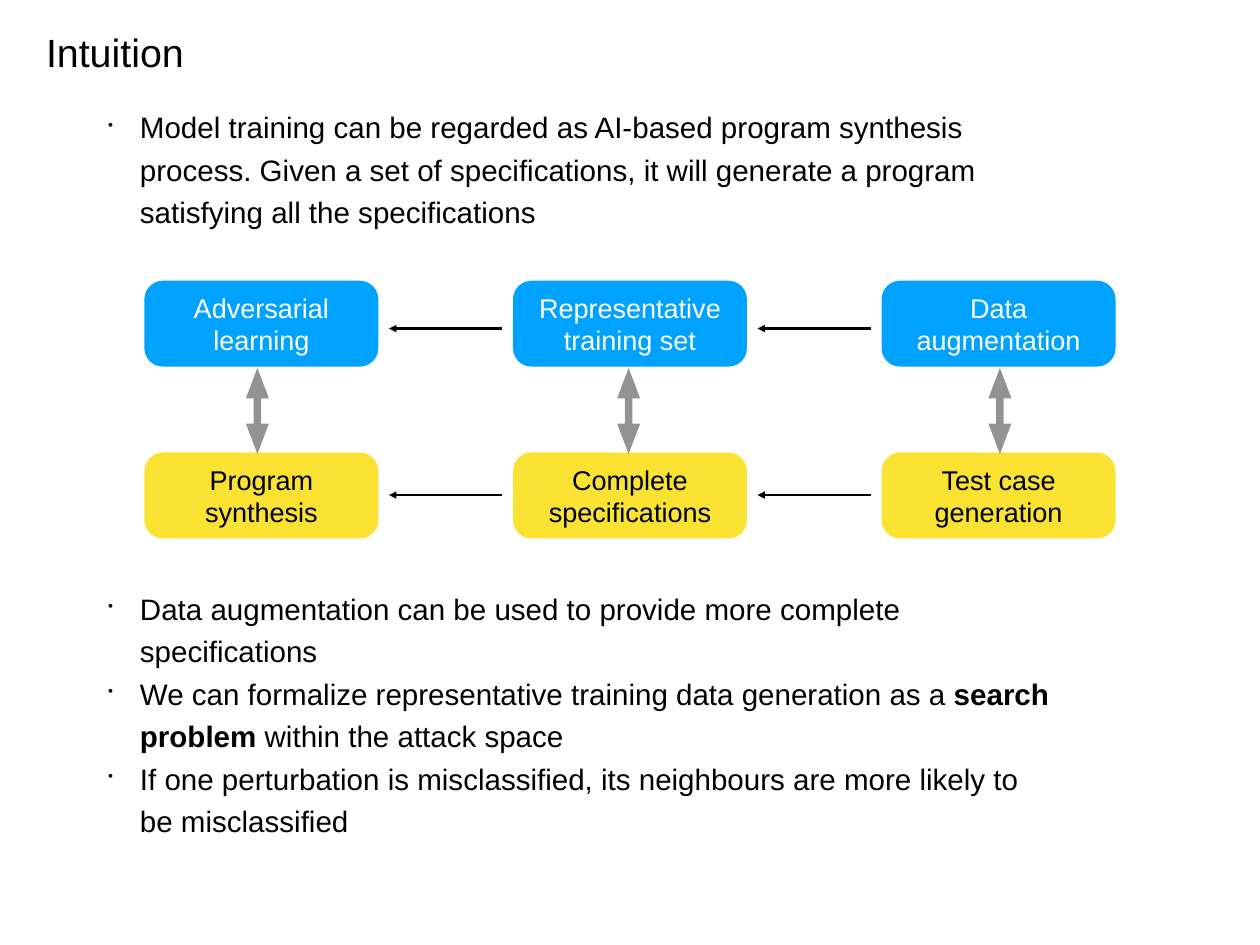
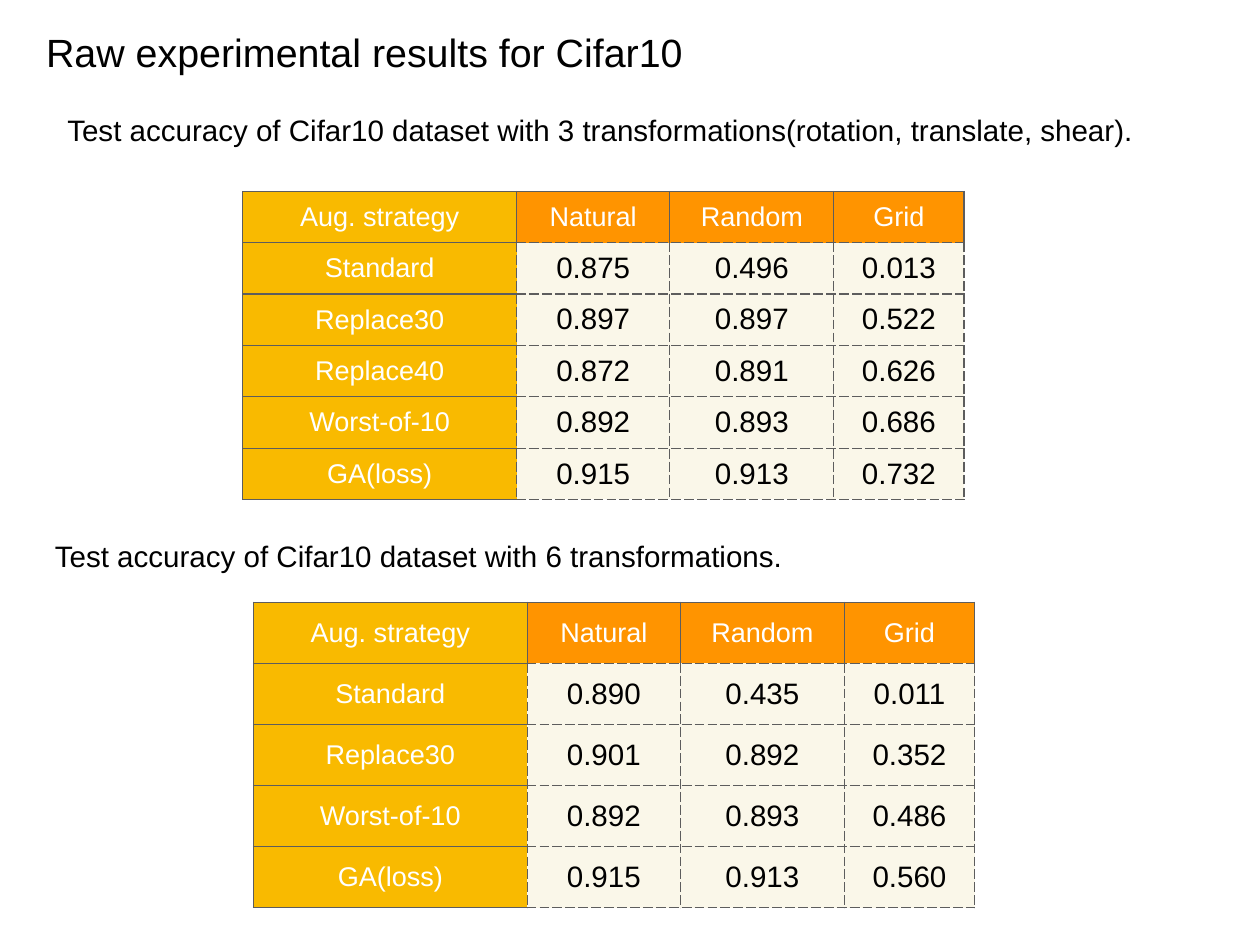
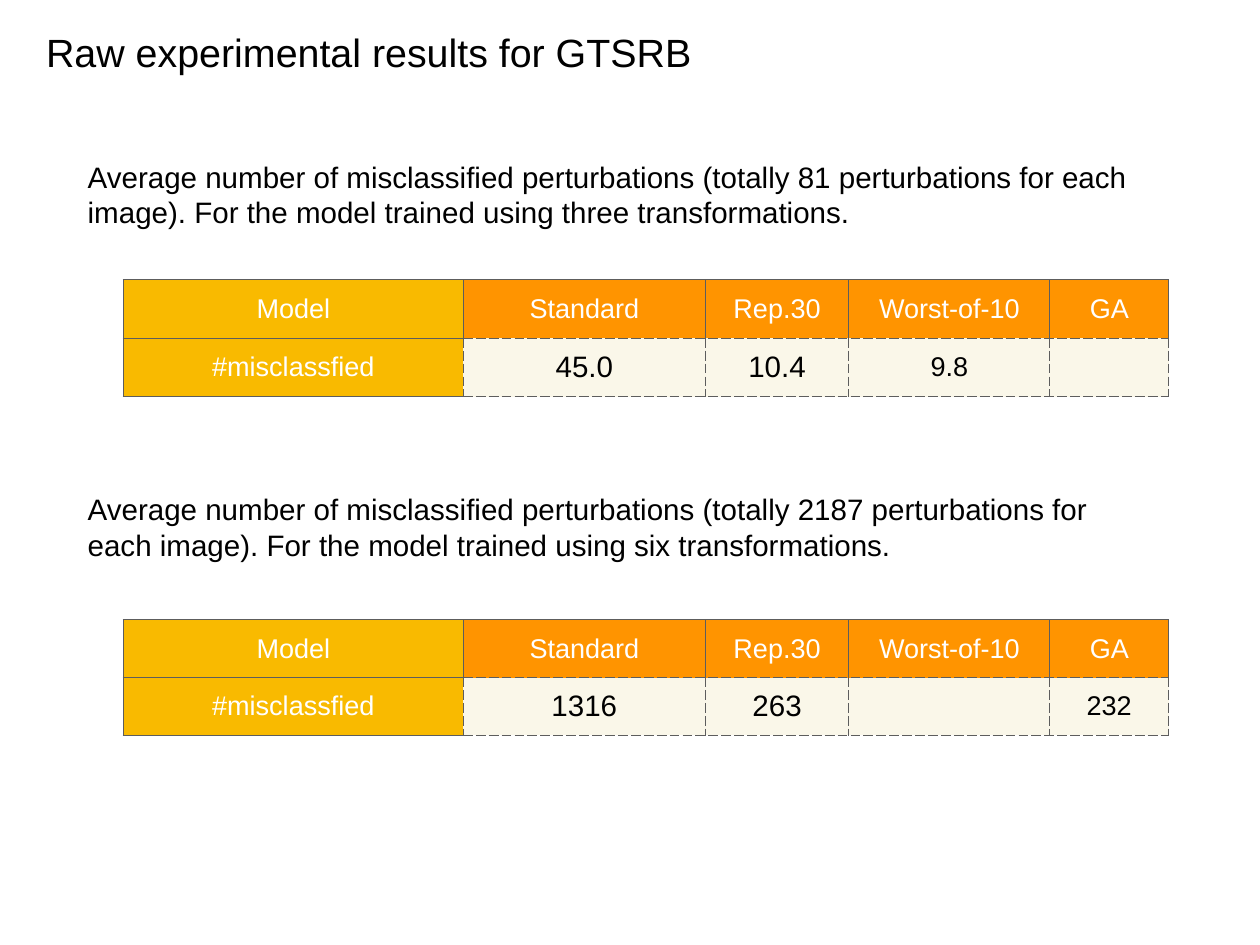
from dataclasses import dataclass

from lxml import etree
from pptx import Presentation
from pptx.dml.color import RGBColor
from pptx.enum.shapes import MSO_CONNECTOR, MSO_SHAPE
from pptx.enum.text import MSO_ANCHOR, PP_ALIGN
from pptx.oxml.ns import qn
from pptx.slide import Slide
from pptx.table import _Cell
from pptx.text.text import TextFrame, _Paragraph
from pptx.util import Inches, Pt

# Shared style
BLACK = RGBColor(0x00, 0x00, 0x00)
WHITE = RGBColor(0xFF, 0xFF, 0xFF)
BLUE = RGBColor(0x00, 0xA2, 0xFF)
YELLOW = RGBColor(0xFA, 0xE2, 0x32)
GRAY = RGBColor(0x92, 0x92, 0x92)
ORANGE = RGBColor(0xFF, 0x94, 0x00)
AMBER = RGBColor(0xF9, 0xBA, 0x00)
CREAM = RGBColor(0xFA, 0xF7, 0xE9)
BORDER = RGBColor(0x5D, 0x5D, 0x5D)

FONT = "Arial"
TITLE_SIZE, BODY_SIZE, LABEL_SIZE = 32, 24, 22
INSET = 0.06

MIDDLE = MSO_ANCHOR.MIDDLE
LEFT, CENTER = PP_ALIGN.LEFT, PP_ALIGN.CENTER
ROUNDED = MSO_SHAPE.ROUNDED_RECTANGLE
DOUBLE_ARROW = MSO_SHAPE.LEFT_RIGHT_ARROW
STRAIGHT = MSO_CONNECTOR.STRAIGHT

# Concept diagram grid
CARD_LEFT, CARD_PITCH = 1.63, 4.16
CARD_WIDTH, CARD_HEIGHT = 2.64, 0.97
ARROW_GAP = 0.12
LINK_LEFT, LINK_TOP, LINK_PITCH = 2.42, 4.51, 4.19
LINK_LENGTH, LINK_THICKNESS = 0.97, 0.26


@dataclass(frozen=True)
class Box:
    left: float
    top: float
    width: float
    height: float


@dataclass(frozen=True)
class Segment:
    text: str
    bold: bool = False


@dataclass(frozen=True)
class CardRow:
    top: float
    arrow_y: float
    fill: RGBColor
    text_color: RGBColor
    labels: tuple[str, ...]


@dataclass(frozen=True)
class ResultTable:
    caption: str
    caption_box: Box
    left: float
    top: float
    row_height: float
    column_widths: tuple[float, ...]
    rows: tuple[tuple[str, ...], ...]
    small_values: tuple[str, ...] = ()


@dataclass(frozen=True)
class ResultSlide:
    title: str
    tables: tuple[ResultTable, ...]


# Slide contents
TITLE_BOX = Box(0.46, 0.19, 12.14, 0.78)

CARD_ROWS = (
    CardRow(3.17, 3.71, BLUE, WHITE,
            ("Adversarial learning", "Representative training set", "Data augmentation")),
    CardRow(5.11, 5.59, YELLOW, BLACK,
            ("Program synthesis", "Complete specifications", "Test case generation")),
)

BULLET_BLOCKS = (
    (Box(1.16, 1.14, 10.75, 1.47), (
        (Segment("Model training can be regarded as AI-based program synthesis process. "
                 "Given a set of specifications, it will generate a program satisfying "
                 "all the specifications"),),
    )),
    (Box(1.16, 6.57, 10.75, 2.92), (
        (Segment("Data augmentation can be used to provide more complete specifications"),),
        (Segment("We can formalize representative training data generation as a "),
         Segment("search problem", bold=True),
         Segment(" within the attack space")),
        (Segment("If one perturbation is misclassified, its neighbours are more likely "
                 "to be misclassified"),),
    )),
)

STRATEGY_COLUMNS = (3.09, 1.73, 1.85, 1.47)
STRATEGY_HEADER = ("Aug. strategy", "Natural", "Random", "Grid")
MODEL_COLUMNS = (3.84, 2.73, 1.62, 2.27, 1.34)
MODEL_HEADER = ("Model", "Standard", "Rep.30", "Worst-of-10", "GA")

RESULT_SLIDES = (
    ResultSlide("Raw experimental results for Cifar10", (
        ResultTable(
            "Test accuracy of Cifar10 dataset with 3 transformations"
            "(rotation, translate, shear).",
            Box(0.7, 1.21, 12.23, 0.5), 2.74, 2.16, 0.58, STRATEGY_COLUMNS,
            (STRATEGY_HEADER,
             ("Standard", "0.875", "0.496", "0.013"),
             ("Replace30", "0.897", "0.897", "0.522"),
             ("Replace40", "0.872", "0.891", "0.626"),
             ("Worst-of-10", "0.892", "0.893", "0.686"),
             ("GA(loss)", "0.915", "0.913", "0.732"))),
        ResultTable(
            "Test accuracy of Cifar10 dataset with 6 transformations.",
            Box(0.56, 6.03, 8.44, 0.5), 2.86, 6.8, 0.69, STRATEGY_COLUMNS,
            (STRATEGY_HEADER,
             ("Standard", "0.890", "0.435", "0.011"),
             ("Replace30", "0.901", "0.892", "0.352"),
             ("Worst-of-10", "0.892", "0.893", "0.486"),
             ("GA(loss)", "0.915", "0.913", "0.560"))),
    )),
    ResultSlide("Raw experimental results for GTSRB", (
        ResultTable(
            "Average number of misclassified perturbations (totally 81 perturbations "
            "for each image). For the model trained using three transformations.",
            Box(0.93, 1.74, 12.14, 0.91), 1.39, 3.16, 0.66, MODEL_COLUMNS,
            (MODEL_HEADER, ("#misclassfied", "45.0", "10.4", "9.8", "")),
            small_values=("9.8",)),
        ResultTable(
            "Average number of misclassified perturbations (totally 2187 perturbations "
            "for each image). For the model trained using six transformations.",
            Box(0.93, 5.49, 12.14, 0.91), 1.39, 7, 0.65, MODEL_COLUMNS,
            (MODEL_HEADER, ("#misclassfied", "1316", "263", "", "232")),
            small_values=("232",)),
    )),
)


# Text helpers
def add_text(paragraph: _Paragraph, text: str, size: float, color: RGBColor = BLACK,
             bold: bool = False) -> None:
    run = paragraph.add_run()
    run.text = text
    run.font.name = FONT
    run.font.size = Pt(size)
    run.font.bold = bold
    run.font.color.rgb = color


def prepare_frame(frame: TextFrame) -> None:
    frame.word_wrap = True
    frame.vertical_anchor = MIDDLE
    frame.margin_left = frame.margin_right = Inches(INSET)
    frame.margin_top = frame.margin_bottom = Inches(INSET)


def add_text_frame(slide: Slide, box: Box) -> TextFrame:
    shape = slide.shapes.add_textbox(
        Inches(box.left), Inches(box.top), Inches(box.width), Inches(box.height))
    prepare_frame(shape.text_frame)
    return shape.text_frame


def add_line_of_text(slide: Slide, box: Box, text: str, size: float) -> None:
    paragraph = add_text_frame(slide, box).paragraphs[0]
    paragraph.alignment = LEFT
    add_text(paragraph, text, size)


def make_bullet(paragraph: _Paragraph) -> None:
    paragraph.line_spacing = 1.2
    properties = paragraph._p.get_or_add_pPr()
    properties.set("marL", str(Inches(0.36)))
    properties.set("indent", str(Inches(-0.36)))
    etree.SubElement(properties, qn("a:buSzPct"), val="50000")
    etree.SubElement(properties, qn("a:buChar"), char="•")


def add_bullets(slide: Slide, box: Box, items: tuple[tuple[Segment, ...], ...]) -> None:
    frame = add_text_frame(slide, box)
    for index, segments in enumerate(items):
        paragraph = frame.paragraphs[0] if index == 0 else frame.add_paragraph()
        make_bullet(paragraph)
        for segment in segments:
            add_text(paragraph, segment.text, BODY_SIZE, bold=segment.bold)


# Diagram helpers
def add_filled_shape(slide: Slide, kind: MSO_SHAPE, box: Box, fill: RGBColor,
                     adjustments: tuple[float, ...]):
    shape = slide.shapes.add_shape(
        kind, Inches(box.left), Inches(box.top), Inches(box.width), Inches(box.height))
    shape.shadow.inherit = False
    shape.fill.solid()
    shape.fill.fore_color.rgb = fill
    shape.line.fill.background()
    for index, value in enumerate(adjustments):
        shape.adjustments[index] = value
    return shape


def add_arrow(slide: Slide, start_x: float, end_x: float, y: float) -> None:
    connector = slide.shapes.add_connector(
        STRAIGHT, Inches(start_x), Inches(y), Inches(end_x), Inches(y))
    connector.line.color.rgb = BLACK
    connector.line.width = Pt(2)
    etree.SubElement(connector.line._get_or_add_ln(), qn("a:tailEnd"), type="triangle")
    etree.SubElement(connector._element.spPr, qn("a:effectLst"))


def add_card_row(slide: Slide, row: CardRow) -> None:
    for index, label in enumerate(row.labels):
        left = CARD_LEFT + index * CARD_PITCH
        card = add_filled_shape(
            slide, ROUNDED, Box(left, row.top, CARD_WIDTH, CARD_HEIGHT), row.fill, (0.215,))
        prepare_frame(card.text_frame)
        paragraph = card.text_frame.paragraphs[0]
        paragraph.alignment = CENTER
        add_text(paragraph, label, LABEL_SIZE, row.text_color)
        if index > 0:
            previous_right = left - CARD_PITCH + CARD_WIDTH
            add_arrow(slide, left - ARROW_GAP, previous_right + ARROW_GAP, row.arrow_y)


def add_row_links(slide: Slide) -> None:
    for index in range(len(CARD_ROWS[0].labels)):
        box = Box(LINK_LEFT + index * LINK_PITCH, LINK_TOP, LINK_LENGTH, LINK_THICKNESS)
        link = add_filled_shape(slide, DOUBLE_ARROW, box, GRAY, (0.335, 1.318))
        link.rotation = 270


# Table helpers
def set_border(cell: _Cell, side: str, dashed: bool) -> None:
    line = etree.SubElement(
        cell._tc.get_or_add_tcPr(), qn(f"a:ln{side}"), w=str(Pt(1)))
    fill = etree.SubElement(line, qn("a:solidFill"))
    etree.SubElement(fill, qn("a:srgbClr"), val=str(BORDER))
    etree.SubElement(line, qn("a:prstDash"), val="lgDash" if dashed else "solid")


def style_cell(cell: _Cell, row: int, column: int, text: str, value_size: float) -> None:
    is_value = row > 0 and column > 0
    # Every edge that touches a value is dashed
    dashed_sides = {"L": is_value, "R": row > 0 and column >= 0 and (is_value or column == 0),
                    "T": is_value, "B": column > 0}
    for side, dashed in dashed_sides.items():
        set_border(cell, side, dashed)

    cell.fill.solid()
    cell.fill.fore_color.rgb = CREAM if is_value else AMBER if column == 0 else ORANGE
    cell.vertical_anchor = MIDDLE
    cell.margin_left = cell.margin_right = Inches(INSET)
    cell.margin_top = cell.margin_bottom = Inches(INSET)
    paragraph = cell.text_frame.paragraphs[0]
    paragraph.alignment = CENTER
    if text:
        add_text(paragraph, text, value_size if is_value else LABEL_SIZE,
                 BLACK if is_value else WHITE)


def add_result_table(slide: Slide, result: ResultTable) -> None:
    add_line_of_text(slide, result.caption_box, result.caption, BODY_SIZE)
    table = slide.shapes.add_table(
        len(result.rows), len(result.column_widths),
        Inches(result.left), Inches(result.top), Inches(sum(result.column_widths)),
        Inches(result.row_height * len(result.rows))).table
    table.first_row = False
    table.horz_banding = False
    for column, width in enumerate(result.column_widths):
        table.columns[column].width = Inches(width)
    for row, texts in enumerate(result.rows):
        table.rows[row].height = Inches(result.row_height)
        for column, text in enumerate(texts):
            size = LABEL_SIZE if text in result.small_values else BODY_SIZE
            style_cell(table.cell(row, column), row, column, text, size)


# Slides
def add_titled_slide(presentation: Presentation, title: str) -> Slide:
    slide = presentation.slides.add_slide(presentation.slide_layouts[6])
    add_line_of_text(slide, TITLE_BOX, title, TITLE_SIZE)
    return slide


def main() -> None:
    presentation = Presentation()
    presentation.slide_width = Inches(14.22)
    presentation.slide_height = Inches(10.67)

    intuition = add_titled_slide(presentation, "Intuition")
    for card_row in CARD_ROWS:
        add_card_row(intuition, card_row)
    add_row_links(intuition)
    for box, items in BULLET_BLOCKS:
        add_bullets(intuition, box, items)

    for result_slide in RESULT_SLIDES:
        slide = add_titled_slide(presentation, result_slide.title)
        for result in result_slide.tables:
            add_result_table(slide, result)

    presentation.save("out.pptx")


if __name__ == "__main__":
    main()
